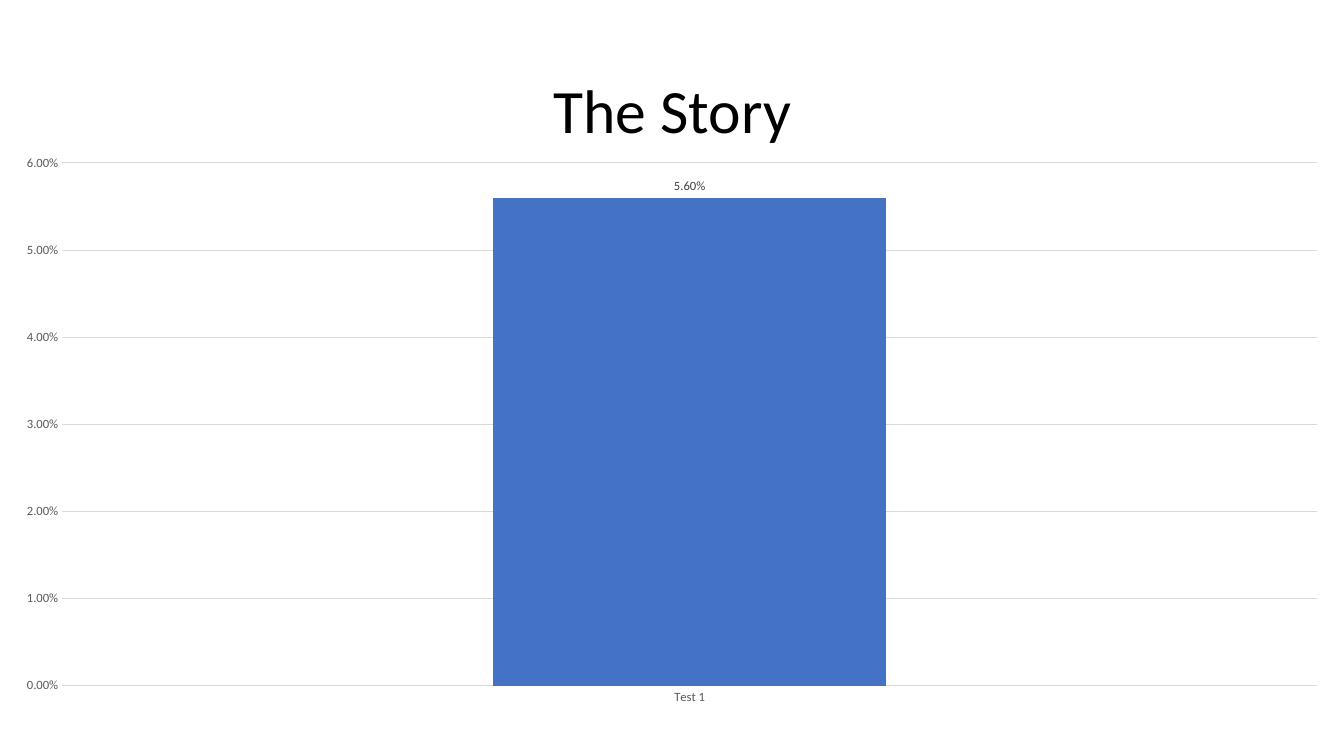
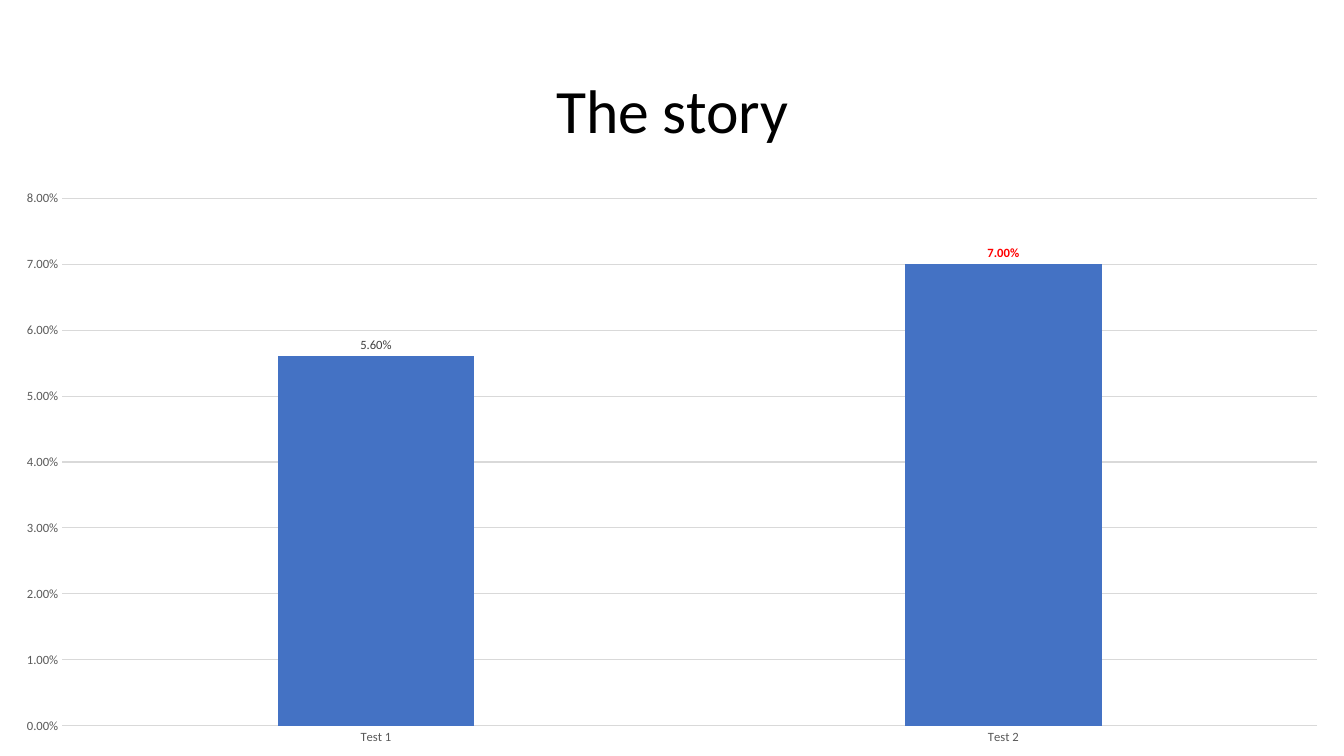
import pptx
import pptx.chart.data
import pptx.dml.color
import pptx.enum.chart
import pptx.enum.text
import pptx.util

Inches, Pt = pptx.util.Inches, pptx.util.Pt

FONT = "Calibri"
PERCENT = "0.00%"
COLORS = {
    "title": "000000",
    "bar": "4472C4",
    "axis": "595959",
    "grid": "D9D9D9",
    "label": "404040",
    "highlight": "FF0000",
}
SLIDES = [
    {"title": "The Story", "top": 1.43, "height": 5.67,
     "results": [("Test 1", 0.056)], "highlight": None},
    {"title": "The story", "top": 1.78, "height": 5.72,
     "results": [("Test 1", 0.056), ("Test 2", 0.07)], "highlight": 1},
]


def rgb(name):
    return pptx.dml.color.RGBColor.from_string(COLORS[name])


def style_font(font, size, color, bold=False):
    font.name = FONT
    font.size = Pt(size)
    font.bold = bold
    font.color.rgb = rgb(color)


def style_line(line):
    line.color.rgb = rgb("grid")
    line.width = Pt(0.75)


def add_title(s, text):
    tf = s.shapes.add_textbox(Inches(0.92), Inches(0.4), Inches(11.5), Inches(1.45)).text_frame
    tf.word_wrap = True
    tf.vertical_anchor = pptx.enum.text.MSO_ANCHOR.MIDDLE
    p = tf.paragraphs[0]
    p.alignment = pptx.enum.text.PP_ALIGN.CENTER
    p.line_spacing = 0.9
    r = p.add_run()
    r.text = text
    style_font(r.font, 44, "title")


def add_results_chart(s, top, height, results, highlight):
    data = pptx.chart.data.CategoryChartData(number_format=PERCENT)
    data.categories = [name for name, _ in results]
    data.add_series("Series 1", [value for _, value in results])
    chart = s.shapes.add_chart(
        pptx.enum.chart.XL_CHART_TYPE.COLUMN_CLUSTERED,
        0, Inches(top), prs.slide_width, Inches(height), data).chart
    chart.has_title = False
    chart.has_legend = False
    style_font(chart.font, 10, "title")

    for axis in (chart.category_axis, chart.value_axis):
        axis.major_tick_mark = axis.minor_tick_mark = pptx.enum.chart.XL_TICK_MARK.NONE
        style_font(axis.tick_labels.font, 9, "axis")
    style_line(chart.category_axis.format.line)
    values = chart.value_axis
    values.format.line.fill.background()
    values.has_major_gridlines = True
    style_line(values.major_gridlines.format.line)
    values.tick_labels.number_format = PERCENT
    values.tick_labels.number_format_is_linked = False

    plot = chart.plots[0]
    plot.gap_width = 219
    plot.overlap = -27
    plot.vary_by_categories = False
    series = plot.series[0]
    series.format.fill.solid()
    series.format.fill.fore_color.rgb = rgb("bar")
    labels = series.data_labels
    labels.show_value = True
    labels.number_format = PERCENT
    labels.number_format_is_linked = False
    labels.position = pptx.enum.chart.XL_LABEL_POSITION.OUTSIDE_END
    style_font(labels.font, 9, "label")
    if highlight is not None:
        label = series.points[highlight].data_label
        style_font(label.font, 9, "highlight", bold=True)
        label.position = pptx.enum.chart.XL_LABEL_POSITION.OUTSIDE_END


prs = pptx.Presentation()
prs.slide_width, prs.slide_height = Inches(13.33), Inches(7.5)
for content in SLIDES:
    s = prs.slides.add_slide(prs.slide_layouts[6])
    add_title(s, content["title"])
    add_results_chart(s, content["top"], content["height"],
                      content["results"], content["highlight"])
prs.save("out.pptx")
